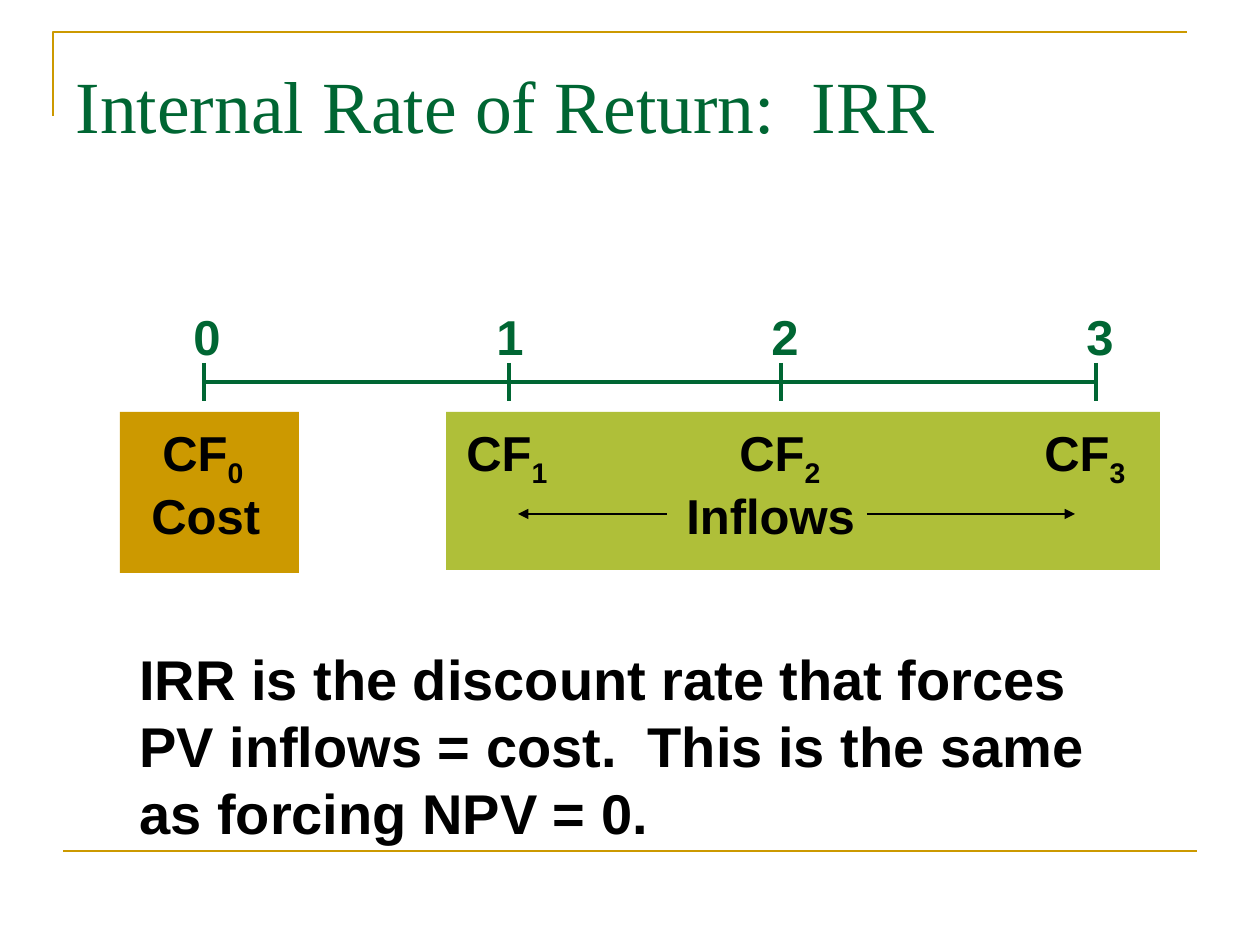
from dataclasses import dataclass

from lxml.etree import SubElement
from pptx import Presentation
from pptx.dml.color import RGBColor
from pptx.enum.shapes import MSO_CONNECTOR as Connector, MSO_SHAPE as Shape
from pptx.enum.text import MSO_ANCHOR as Anchor, MSO_AUTO_SIZE as AutoSize, PP_ALIGN as Align
from pptx.oxml.ns import qn
from pptx.util import Emu, Pt

PX = 914400 / 126  # EMU in one px


@dataclass(frozen=True)
class Theme:
    green: str = "006633"
    gold: str = "CC9900"
    lime: str = "AFBF39"
    black: str = "000000"
    title_font: str = "Times New Roman"
    body_font: str = "Arial"
    title_size: int = 42
    label_size: int = 28
    body_size: int = 32


def emu(*lengths):
    return [Emu(round(length * PX)) for length in lengths]


class SlideBuilder:
    def __init__(self, slide, theme):
        self.slide = slide
        self.shapes = slide.shapes
        self.theme = theme

    def format_font(self, font, color, **values):
        for name, value in values.items():
            setattr(font, name, value)
        font.color.rgb = RGBColor.from_string(color)

    def title(self, text, box):
        title = self.shapes.title
        title.left, title.top, title.width, title.height = emu(*box)
        title.text = text
        frame_values = {"vertical_anchor": Anchor.MIDDLE, "auto_size": AutoSize.NONE}
        for name, value in frame_values.items():
            setattr(title.text_frame, name, value)
        paragraph = title.text_frame.paragraphs[0]
        paragraph.alignment = Align.LEFT
        self.format_font(paragraph.runs[0].font, self.theme.green,
                         name=self.theme.title_font, size=Pt(self.theme.title_size))

    def text(self, lines, box, color, size, subscript="", wrap=False):
        frame = self.shapes.add_textbox(*emu(*box)).text_frame
        frame.word_wrap = wrap
        frame.auto_size = AutoSize.SHAPE_TO_FIT_TEXT
        for index, line in enumerate(lines):
            paragraph = frame.add_paragraph() if index else frame.paragraphs[0]
            paragraph.add_run().text = line
            if subscript:
                lowered = paragraph.add_run()
                lowered.text = subscript
                lowered.font._element.set("baseline", "-25000")
            for run in paragraph.runs:
                self.format_font(run.font, color, name=self.theme.body_font,
                                 size=Pt(size), bold=True)

    def label(self, text, left, top, width, color, subscript=""):
        self.text([text], (left, top, width, 71), color, self.theme.label_size, subscript)

    def panel(self, box, color):
        panel = self.shapes.add_shape(Shape.RECTANGLE, *emu(*box))
        panel.shadow.inherit = False
        panel.fill.solid()
        panel.fill.fore_color.rgb = RGBColor.from_string(color)
        panel.line.fill.background()

    def line(self, start, end, color, width, arrow=False):
        connector = self.shapes.add_connector(Connector.STRAIGHT, *emu(*start, *end))
        connector.line.color.rgb = RGBColor.from_string(color)
        connector.line.width = Pt(width)
        if arrow:
            SubElement(connector.line._get_or_add_ln(), qn("a:tailEnd"), type="triangle")
        SubElement(connector._element.spPr, qn("a:effectLst"))

    def outline(self, points, color, width):
        builder = self.shapes.build_freeform(*points[0], scale=PX)
        builder.add_line_segments(points[1:], close=False)
        outline = builder.convert_to_shape()
        outline.shadow.inherit = False
        outline.fill.background()
        outline.line.color.rgb = RGBColor.from_string(color)
        outline.line.width = Pt(width)


def main():
    theme = Theme()
    presentation = Presentation()
    presentation.slide_width, presentation.slide_height = emu(1260, 945)
    layout = presentation.slide_layouts.get_by_name("Title Only")
    builder = SlideBuilder(presentation.slides.add_slide(layout), theme)

    # Frame and title
    builder.outline([(53, 116), (53, 32), (1187, 32)], theme.gold, 1.5)
    builder.line((63, 851), (1197, 851), theme.gold, 1.5)
    builder.title("Internal Rate of Return:  IRR", (63, 54, 1134, 100))

    # Cost and inflow panels
    builder.panel((120, 412, 179, 161), theme.gold)
    builder.panel((446, 412, 714, 158), theme.lime)

    # Time line: tick, period label and cash flow label for each period
    periods = [(204, 181, 150), (509, 484, 454), (781, 759, 727), (1096, 1074, 1032)]
    for period, (tick, label_left, flow_left) in enumerate(periods):
        builder.line((tick, 363), (tick, 401), theme.green, 2)
        builder.label(str(period), label_left, 300, 52, theme.green)
        builder.label("CF", flow_left, 416, 108, theme.black, subscript=str(period))
    builder.line((periods[0][0], 382), (periods[-1][0], 382), theme.green, 2)

    # Panel captions and arrows
    builder.label("Cost", 139, 479, 134, theme.black)
    builder.label("Inflows", 674, 479, 194, theme.black)
    for start, end in ((867, 1075), (667, 518)):
        builder.line((start, 514), (end, 514), theme.black, 1, arrow=True)

    # Definition
    builder.text(
        ["IRR is the discount rate that forces",
         "PV inflows = cost.  This is the same",
         "as forcing NPV = 0."],
        (127, 638, 1009, 214), theme.black, theme.body_size, wrap=True)

    presentation.save("out.pptx")


if __name__ == "__main__":
    main()
